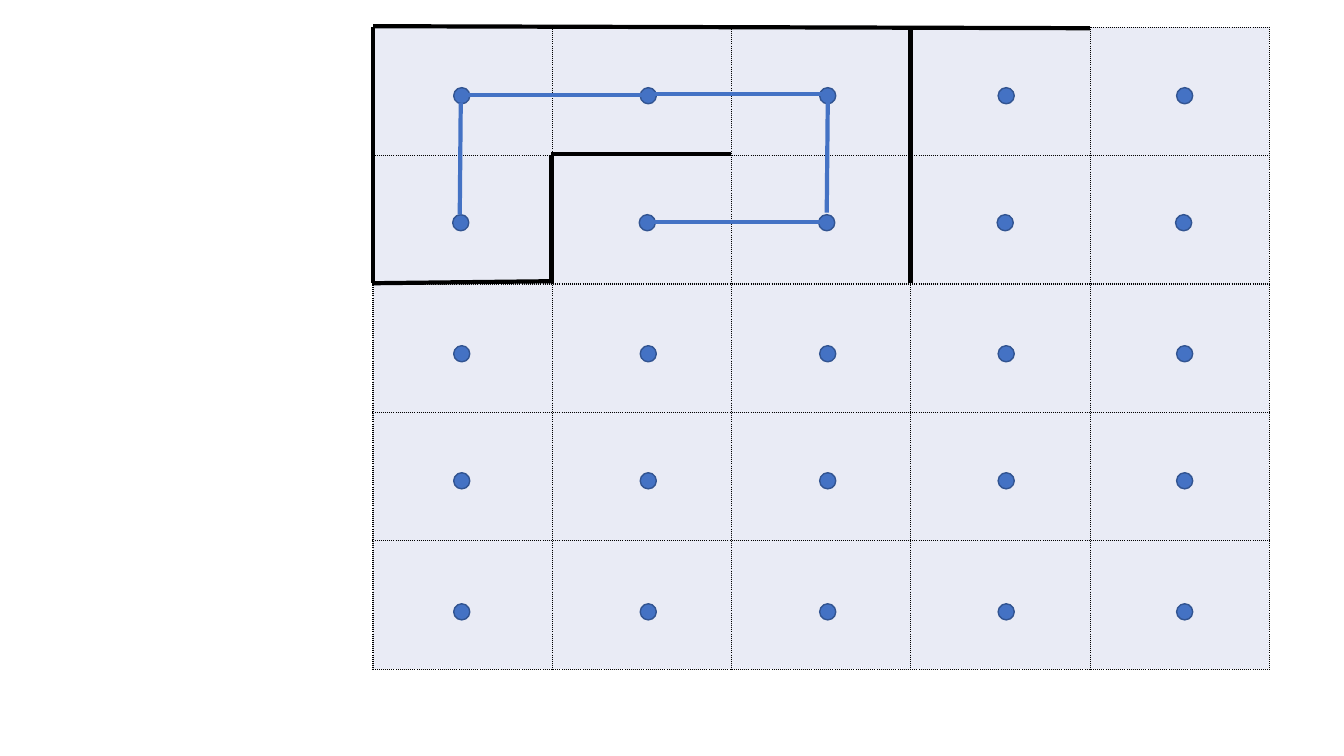
import itertools

import lxml.etree
import pptx
import pptx.dml.color
import pptx.enum.shapes
import pptx.oxml.ns
import pptx.util

Inches = pptx.util.Inches
Pt = pptx.util.Pt
qn = pptx.oxml.ns.qn

COLORS = {"cell": "E9EBF5", "grid": "000000", "wall": "000000",
          "dot": "4472C4", "dot_edge": "325491", "trail": "4472C4"}
MAZE_SIZE = 5
MAZE_LEFT, MAZE_TOP = 3.7, 0.27
MAZE_WIDTH, MAZE_HEIGHT = 8.89, 6.37
DOT_SIZE = 0.16
DOT_LEFTS = [4.5, 6.35, 8.13, 9.9, 11.67]
DOT_TOPS = [0.87, 2.13, 3.43, 4.69, 5.99]
SHIFTED_ROW, ROW_SHIFT = 1, -0.01

# Segments are (x1, y1, x2, y2) in inches.
WALLS = [
    (3.7, 0.26, 7.26, 0.27),
    (3.7, 0.27, 3.7, 2.81),
    (5.47, 1.54, 5.47, 2.81),
    (5.47, 2.79, 3.7, 2.81),
    (5.47, 1.53, 7.25, 1.53),
    (7.25, 0.27, 10.81, 0.28),
    (9.03, 0.29, 9.03, 2.81),
]
TRAIL = [
    (4.57, 1.02, 4.56, 2.13),
    (4.64, 0.94, 6.4, 0.94),
    (6.45, 0.93, 8.2, 0.93),
    (8.21, 1.01, 8.2, 2.11),
    (6.4, 2.2, 8.16, 2.2),
]


def rgb(role):
    """Return the colour that belongs to a role."""
    return pptx.dml.color.RGBColor.from_string(COLORS[role])


def dot_borders(cell):
    """Give a cell dotted borders on all four sides."""
    properties = cell._tc.get_or_add_tcPr()
    for index, side in enumerate(("lnL", "lnR", "lnT", "lnB")):
        border = lxml.etree.Element(qn("a:" + side), w=str(Pt(1)))
        fill = lxml.etree.SubElement(border, qn("a:solidFill"))
        lxml.etree.SubElement(fill, qn("a:srgbClr"), val=COLORS["grid"])
        lxml.etree.SubElement(border, qn("a:prstDash"), val="sysDot")
        properties.insert(index, border)


def add_maze_grid(slide):
    """Add the square grid of empty, dotted cells."""
    frame = slide.shapes.add_table(
        MAZE_SIZE, MAZE_SIZE, Inches(MAZE_LEFT), Inches(MAZE_TOP),
        Inches(MAZE_WIDTH), Inches(MAZE_HEIGHT))
    maze = frame.table
    for option, value in {"first_row": False, "horz_banding": False}.items():
        setattr(maze, option, value)
    for cell in maze.iter_cells():
        cell.fill.solid()
        cell.fill.fore_color.rgb = rgb("cell")
        dot_borders(cell)


def add_dot(slide, left, top):
    """Add one round cell marker."""
    dot = slide.shapes.add_shape(
        pptx.enum.shapes.MSO_SHAPE.OVAL, Inches(left), Inches(top),
        Inches(DOT_SIZE), Inches(DOT_SIZE))
    dot.shadow.inherit = False
    dot.fill.solid()
    dot.fill.fore_color.rgb = rgb("dot")
    dot.line.color.rgb = rgb("dot_edge")
    dot.line.width = Pt(1)


def add_segment(slide, ends, role):
    """Add one thick straight line of a wall or of the trail."""
    segment = slide.shapes.add_connector(
        pptx.enum.shapes.MSO_CONNECTOR.STRAIGHT, *map(Inches, ends))
    segment.line.color.rgb = rgb(role)
    segment.line.width = Pt(3)
    lxml.etree.SubElement(segment._element.spPr, qn("a:effectLst"))


def main():
    """Build the maze slide and save it."""
    deck = pptx.Presentation()
    deck.slide_width, deck.slide_height = Inches(13.33), Inches(7.5)
    slide = deck.slides.add_slide(deck.slide_layouts[6])
    add_maze_grid(slide)
    for left, (row, top) in itertools.product(DOT_LEFTS, enumerate(DOT_TOPS)):
        add_dot(slide, left + (ROW_SHIFT if row == SHIFTED_ROW else 0), top)
    for role, segments in {"trail": TRAIL, "wall": WALLS}.items():
        for ends in segments:
            add_segment(slide, ends, role)
    deck.save("out.pptx")


main()
